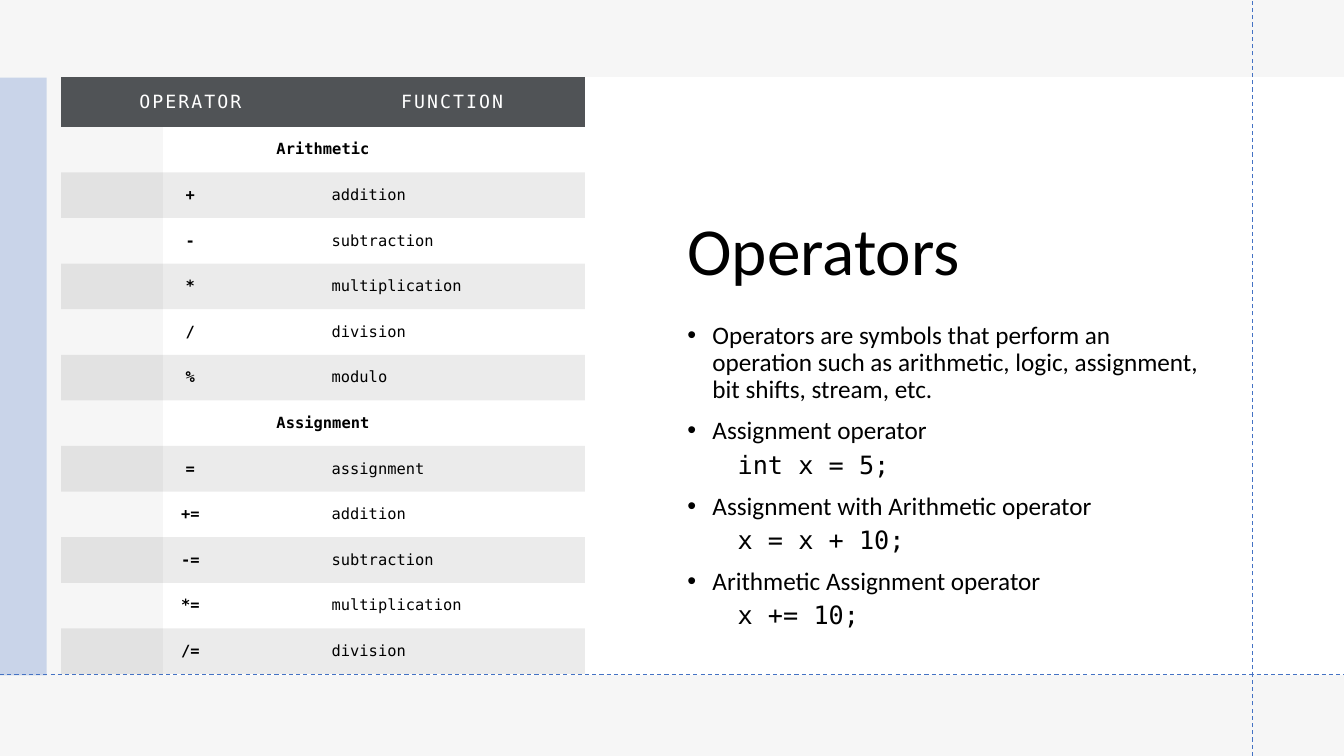
from lxml.etree import SubElement
from pptx import Presentation
from pptx.dml.color import RGBColor
from pptx.enum.dml import MSO_LINE
from pptx.enum.shapes import MSO_CONNECTOR, MSO_SHAPE
from pptx.enum.text import MSO_ANCHOR, PP_ALIGN
from pptx.oxml.ns import qn
from pptx.util import Pt

SANS, MONO = "Calibri", "DejaVu Sans Mono"
BLACK, WHITE, BLUE, GREY, SLATE = "000000", "FFFFFF", "4472C4", "E7E6E6", "505356"
NO_GRID_STYLE = "{2D5ABB26-0587-4C30-8999-92F81FD0307C}"

GROUPS = {
    "Arithmetic": [("+", "addition"), ("-", "subtraction"), ("*", "multiplication"),
                   ("/", "division"), ("%", "modulo")],
    "Assignment": [("=", "assignment"), ("+=", "addition"), ("-=", "subtraction"),
                   ("*=", "multiplication"), ("/=", "division")],
}
INTRO = ("Operators are symbols that perform an operation such as arithmetic, "
         "logic, assignment, bit shifts, stream, etc.")
EXAMPLES = [
    ("Assignment operator", "int x = 5;"),
    ("Assignment with Arithmetic operator", "x = x + 10;"),
    ("Arithmetic Assignment operator", "x += 10;"),
]


def color(hex_text):
    """Turn a hex string into a colour."""
    return RGBColor.from_string(hex_text)


def apply(target, values):
    """Set each attribute named in values on target."""
    for name, value in values.items():
        setattr(target, name, value)


def paint(fill, parent, hex_text, opacity=100):
    """Fill solidly; parent is the XML element that holds the fill."""
    fill.solid()
    fill.fore_color.rgb = color(hex_text)
    if opacity < 100:
        tone = parent.find(qn("a:solidFill")).find(qn("a:srgbClr"))
        SubElement(tone, qn("a:alpha"), val=str(opacity * 1000))


def write(para, text, size, font=SANS, ink=BLACK, bold=False, spacing=0):
    """Add one formatted span to a paragraph; return the paragraph."""
    span = para.add_run()
    span.text = text
    apply(span.font, {"size": Pt(size), "name": font, "bold": bold})
    span.font.color.rgb = color(ink)
    if spacing:
        span.font._element.set("spc", str(round(spacing * 100)))
    return para


def add_panel(page, left, top, width, height, hex_text, opacity=100):
    """Draw a borderless rectangle."""
    panel = page.shapes.add_shape(MSO_SHAPE.RECTANGLE, Pt(left), Pt(top), Pt(width), Pt(height))
    panel.shadow.inherit = False
    panel.line.fill.background()
    paint(panel.fill, panel._element.spPr, hex_text, opacity)


def add_guide(page, x1, y1, x2, y2):
    """Draw a dashed blue guide line."""
    guide = page.shapes.add_connector(MSO_CONNECTOR.STRAIGHT, Pt(x1), Pt(y1), Pt(x2), Pt(y2))
    apply(guide.line, {"width": Pt(0.75), "dash_style": MSO_LINE.DASH})
    guide.line.color.rgb = color(BLUE)
    SubElement(guide._element.spPr, qn("a:effectLst"))


def add_text_frame(page, top, height, anchor):
    """Add a wrapping text box in the right column; return its frame."""
    box = page.shapes.add_textbox(Pt(483.84), Pt(top), Pt(379.44), Pt(height))
    apply(box.text_frame, {"word_wrap": True, "vertical_anchor": anchor})
    return box.text_frame


def format_point(para, is_code=False):
    """Give a paragraph the bullet or code-line layout."""
    apply(para, {"line_spacing": 0.9, "space_before": Pt(5 if is_code else 10),
                 "level": int(is_code)})
    props = para._p.get_or_add_pPr()
    props.set("marL", str(Pt(36 if is_code else 18)))
    props.set("indent", str(Pt(0 if is_code else -18)))
    if is_code:
        SubElement(props, qn("a:buNone"))
    else:
        SubElement(props, qn("a:buFont"), typeface="Arial")
        SubElement(props, qn("a:buChar"), char="\u2022")


def add_points(page):
    """Write the introduction and the code examples."""
    frame = add_text_frame(page, 226.8, 244, MSO_ANCHOR.TOP)
    format_point(write(frame.paragraphs[0], INTRO, 18))
    for label, code in EXAMPLES:
        format_point(write(frame.add_paragraph(), label, 18))
        format_point(write(frame.add_paragraph(), code, 18, MONO), is_code=True)


def fill_cell(cell, text, align=PP_ALIGN.CENTER, fill=None, opacity=100, **style):
    """Write and paint one table cell."""
    margins = dict.fromkeys(["margin_left", "margin_right", "margin_top", "margin_bottom"], Pt(8.64))
    apply(cell, {**margins, "vertical_anchor": MSO_ANCHOR.MIDDLE})
    para = cell.text_frame.paragraphs[0]
    para.alignment = align
    write(para, text, font=MONO, **style)
    if fill:
        paint(cell.fill, cell._tc.tcPr, fill, opacity)
    else:
        cell.fill.background()


def add_operator_table(page):
    """Build the table of operators, shading every second body row."""
    rows = [row for title, members in GROUPS.items() for row in [(title,), *members]]
    frame = page.shapes.add_table(len(rows) + 1, 2, Pt(43.75), Pt(55.2), Pt(374), Pt(426.5))
    table = frame.table
    apply(table, {"first_row": False, "horz_banding": False})
    table._tbl.tblPr.find(qn("a:tableStyleId")).text = NO_GRID_STYLE
    for column, width in zip(table.columns, (184.5, 189.5)):
        column.width = Pt(width)
    for index, row in enumerate(table.rows):
        row.height = Pt(32.58 if index else 35.4)
    for index, heading in enumerate(("OPERATOR", "FUNCTION")):
        fill_cell(table.cell(0, index), heading, fill=SLATE, size=13, ink=WHITE, spacing=1.5)
    for index, (key, *meaning) in enumerate(rows, start=1):
        shade = {"fill": None if index % 2 else BLACK, "opacity": 8}
        first, second = table.cell(index, 0), table.cell(index, 1)
        fill_cell(first, key, size=11, bold=True, **shade)
        if meaning:
            fill_cell(second, meaning[0], PP_ALIGN.LEFT, size=11, **shade)
        else:
            first.merge(second)


def main():
    """Build the slide and save it."""
    deck = Presentation()
    apply(deck, {"slide_width": Pt(960), "slide_height": Pt(540)})
    page = deck.slides.add_slide(deck.slide_layouts[6])
    add_panel(page, 0, 0, 960, 540, GREY, 35)
    add_panel(page, 116.5, 55.2, 843.5, 427, WHITE)
    title = add_text_frame(page, 42.5, 168.5, MSO_ANCHOR.BOTTOM).paragraphs[0]
    write(title, "Operators", 48).line_spacing = 0.9
    add_panel(page, 0, 55.5, 33.3, 427, BLUE, 25)
    add_points(page)
    add_guide(page, 894.7, 540, 894.7, 0)
    add_guide(page, 0, 481.7, 960, 481.7)
    add_operator_table(page)
    deck.save("out.pptx")


main()
